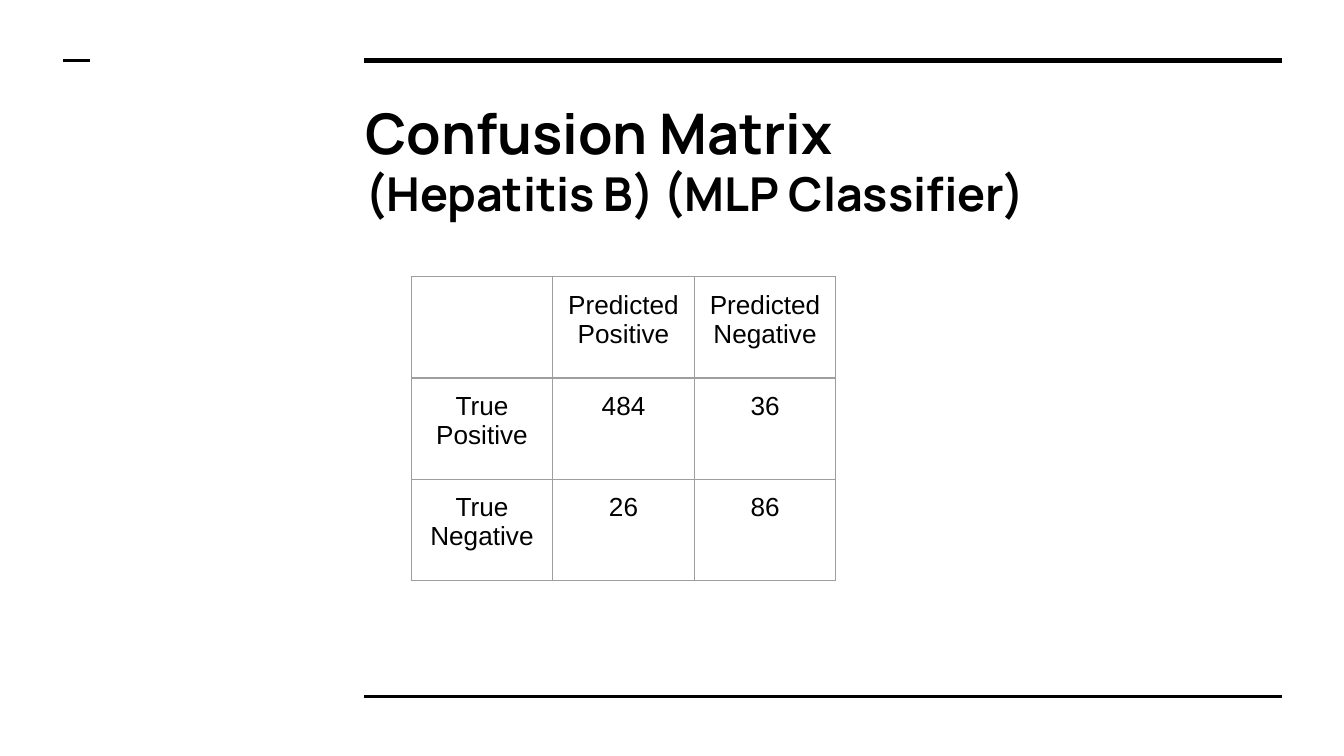
"""Build the confusion matrix slide for the hepatitis B classifier."""
import dataclasses

import pptx
import pptx.dml.color
import pptx.enum.shapes
import pptx.enum.text
import pptx.oxml
import pptx.oxml.ns
import pptx.util
from pptx.util import Inches


@dataclasses.dataclass(frozen=True)
class Theme:
    ink: str = "000000"
    grid: str = "9E9E9E"
    title_font: str = "Manrope"
    body_font: str = "Arial"
    title_size: float = 30
    subtitle_size: float = 25
    cell_size: float = 14
    grid_width: float = 0.75
    thin_rule: float = 1.5
    thick_rule: float = 3


THEME = Theme()
MATRIX = [
    ["", "Predicted Positive", "Predicted Negative"],
    ["True Positive", "484", "36"],
    ["True Negative", "26", "86"],
]


def add_rule(slide, left, right, y, width):
    rule = slide.shapes.add_connector(
        pptx.enum.shapes.MSO_CONNECTOR.STRAIGHT,
        Inches(left), Inches(y), Inches(right), Inches(y),
    )
    rule.line.color.rgb = pptx.dml.color.RGBColor.from_string(THEME.ink)
    rule.line.width = pptx.util.Pt(width)
    properties = rule._element.spPr
    properties.append(properties.makeelement(pptx.oxml.ns.qn("a:effectLst"), {}))


def add_run(paragraph, text, font, size, bold=False):
    run = paragraph.add_run()
    run.text = text
    run.font.name = font
    run.font.size = pptx.util.Pt(size)
    run.font.bold = bold
    run.font.color.rgb = pptx.dml.color.RGBColor.from_string(THEME.ink)


def set_margins(holder):
    for side in ("left", "top", "right", "bottom"):
        setattr(holder, f"margin_{side}", Inches(0.1))


def add_heading(slide, lines):
    heading = slide.shapes.add_textbox(
        Inches(2.62), Inches(0.63), Inches(6.91), Inches(0.69)
    ).text_frame
    heading.word_wrap = True
    set_margins(heading)
    for index, (text, size) in enumerate(lines):
        line = heading.add_paragraph() if index else heading.paragraphs[0]
        add_run(line, text, THEME.title_font, size, bold=True)


def set_borders(cell):
    properties = cell._tc.get_or_add_tcPr()
    for index, side in enumerate(("lnL", "lnR", "lnT", "lnB")):
        border = pptx.oxml.parse_xml(
            f'<a:{side} {pptx.oxml.ns.nsdecls("a")} w="{pptx.util.Pt(THEME.grid_width)}">'
            f'<a:solidFill><a:srgbClr val="{THEME.grid}"/></a:solidFill></a:{side}>'
        )
        properties.insert(index, border)


def add_matrix(slide, rows):
    matrix = slide.shapes.add_table(
        len(rows), len(rows[0]),
        Inches(3.06), Inches(2.06), Inches(3.16), Inches(2.26),
    ).table
    matrix.first_row = False
    matrix.horz_banding = False
    for row_index, labels in enumerate(rows):
        for column_index, label in enumerate(labels):
            cell = matrix.cell(row_index, column_index)
            cell.fill.background()
            set_margins(cell)
            set_borders(cell)
            if label:
                paragraph = cell.text_frame.paragraphs[0]
                paragraph.alignment = pptx.enum.text.PP_ALIGN.CENTER
                add_run(paragraph, label, THEME.body_font, THEME.cell_size)


def main():
    deck = pptx.Presentation()
    deck.slide_width = Inches(10)
    deck.slide_height = deck.slide_width * 9 // 16
    slide = deck.slides.add_slide(deck.slide_layouts[6])
    add_rule(slide, 2.71, 9.54, 0.45, THEME.thick_rule)
    add_rule(slide, 2.71, 9.54, 5.18, THEME.thin_rule)
    add_rule(slide, 0.47, 0.67, 0.45, THEME.thin_rule)
    add_heading(slide, [
        ("Confusion Matrix", THEME.title_size),
        ("(Hepatitis B) (MLP Classifier)", THEME.subtitle_size),
    ])
    add_matrix(slide, MATRIX)
    deck.save("out.pptx")


if __name__ == "__main__":
    main()
